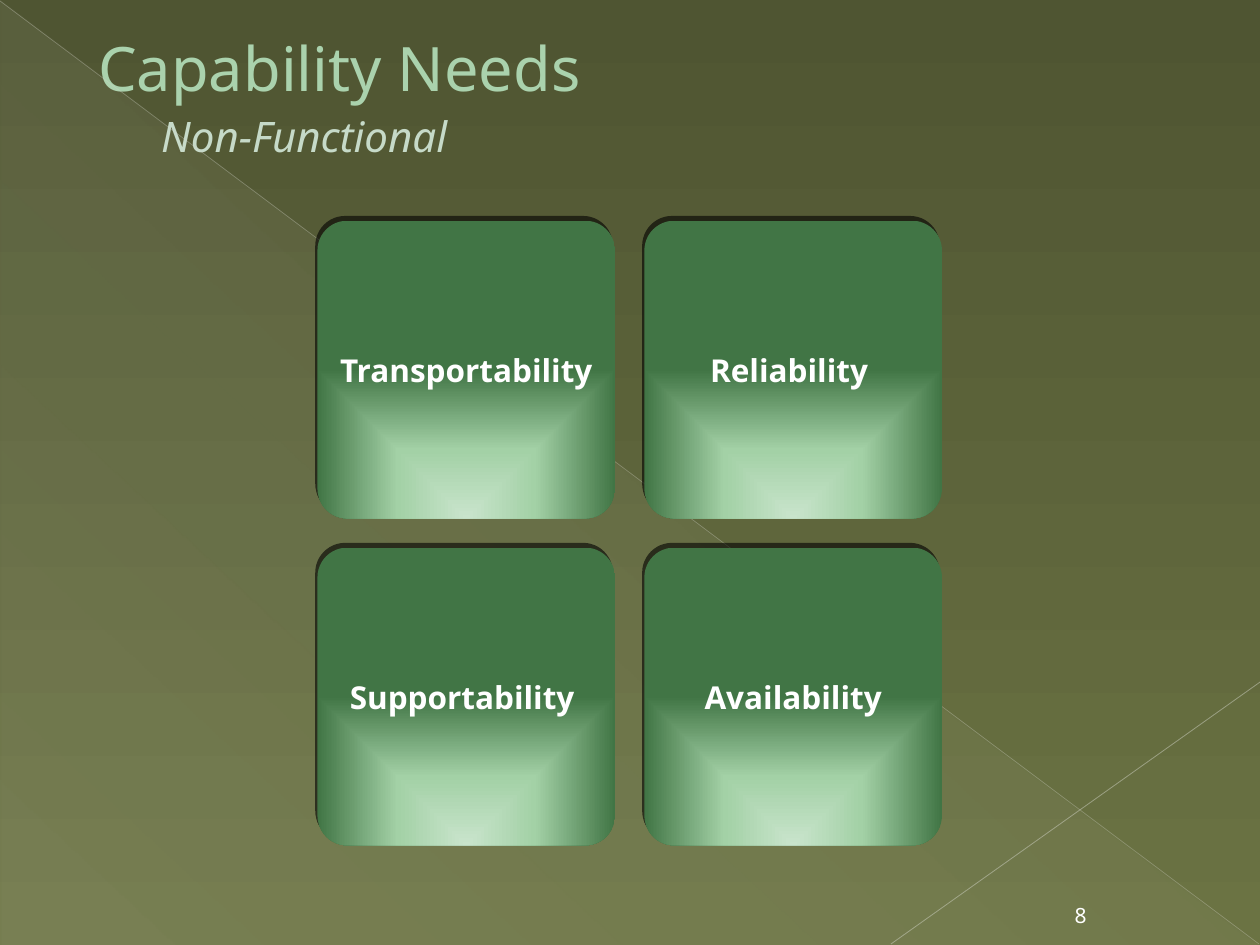
from lxml.etree import SubElement
from pptx import Presentation
from pptx.dml.color import RGBColor
from pptx.enum.shapes import MSO_CONNECTOR as CONN, MSO_SHAPE as SHAPE
from pptx.enum.text import MSO_ANCHOR as ANCHOR, MSO_AUTO_SIZE as AUTO, PP_ALIGN as ALIGN
from pptx.oxml.ns import qn
from pptx.util import Cm, Pt

TILE_STOPS = [(0, "C9E4CC", 100), (46, "A3D1A6", 100), (100, "417545", 100)]
TILES = [["Transportability", "Reliability "], ["Supportability ", "Availability"]]
TILE_LEFT, TILE_TOP, TILE_SIZE, TILE_PITCH = 6.4, 4.45, 6, 6.59


def rgb(value):
    return RGBColor.from_string(value)


def add_color(parent, color, opacity):
    clr = SubElement(parent, qn("a:srgbClr"), val=color)
    SubElement(clr, qn("a:alpha"), val=str(opacity * 1000))


def set_gradient(fill, props, stops, angle=None, focus=None):
    """Fill with (position, colour, opacity) stops, linear or towards a focus rectangle."""
    fill.solid()
    grad = props.makeelement(qn("a:gradFill"), rotWithShape="1")
    props.replace(props.find(qn("a:solidFill")), grad)
    gs_list = SubElement(grad, qn("a:gsLst"))
    for pos, color, opacity in stops:
        add_color(SubElement(gs_list, qn("a:gs"), pos=str(pos * 1000)), color, opacity)
    if focus:
        way = SubElement(grad, qn("a:path"), path="rect")
        sides = {side: str(value * 1000) for side, value in zip("ltrb", focus)}
        SubElement(way, qn("a:fillToRect"), **sides)
    else:
        SubElement(grad, qn("a:lin"), ang=str(angle * 60000), scaled="0")


class Deck:
    font = "Noto Sans"
    white = "FFFFFF"

    def __init__(self, prs):
        self.slide = prs.slides.add_slide(prs.slide_layouts[5])
        self.shapes = self.slide.shapes

    def background(self, stops, angle):
        fill = self.slide.background.fill
        fill.solid()
        props = self.slide.element.find(".//" + qn("p:bgPr"))
        set_gradient(fill, props, stops, angle)

    def run(self, p, text, size, color, bold=False, italic=False):
        r = p.add_run()
        r.text = text
        r.font.name, r.font.size = self.font, Pt(size)
        r.font.bold, r.font.italic = bold, italic
        r.font.color.rgb = rgb(color)

    def shape(self, kind, left, top, width, height, stops, **shade):
        sp = self.shapes.add_shape(kind, Cm(left), Cm(top), Cm(width), Cm(height))
        set_gradient(sp.fill, sp.element.spPr, stops, **shade)
        sp.line.fill.background()
        sp.shadow.inherit = False
        return sp

    def tile(self, left, top, text):
        sp = self.shape(SHAPE.ROUNDED_RECTANGLE, left, top, TILE_SIZE, TILE_SIZE,
                        TILE_STOPS, focus=(50, 155, 50, -55))
        sp.adjustments[0] = 0.1
        effects = sp.element.spPr.find(qn("a:effectLst"))
        shadow = SubElement(effects, qn("a:outerShdw"), blurRad="0", dist=str(Pt(3)),
                            dir=str(245 * 60000), algn="ctr", rotWithShape="0")
        add_color(shadow, "000000", 60)
        tf = sp.text_frame
        tf.margin_left = tf.margin_top = tf.margin_right = tf.margin_bottom = 0
        tf.vertical_anchor = ANCHOR.MIDDLE
        p = tf.paragraphs[0]
        p.alignment = ALIGN.CENTER
        self.run(p, text, 18, self.white, bold=True)

    def line(self, x1, y1, x2, y2, color, width, opacity):
        cn = self.shapes.add_connector(CONN.STRAIGHT, Cm(x1), Cm(y1), Cm(x2), Cm(y2))
        cn.line.width = Pt(width)
        cn.line.color.rgb = rgb(color)
        clr = cn.element.spPr.find(".//" + qn("a:srgbClr"))
        SubElement(clr, qn("a:alpha"), val=str(opacity * 1000))
        SubElement(cn.element.spPr, qn("a:effectLst"))

    def page_number(self, left, top, width, height, text):
        tf = self.shapes.add_textbox(Cm(left), Cm(top), Cm(width), Cm(height)).text_frame
        tf.word_wrap = False
        tf.vertical_anchor = ANCHOR.BOTTOM
        p = tf.paragraphs[0]
        p.alignment = ALIGN.CENTER
        self.run(p, text, 12, self.white)

    def title(self, left, top, width, height, text, subtitle):
        sp = self.shapes.title
        sp.left, sp.top, sp.width, sp.height = Cm(left), Cm(top), Cm(width), Cm(height)
        tf = sp.text_frame
        tf.margin_left = tf.margin_top = tf.margin_right = tf.margin_bottom = Cm(0.1)
        tf.vertical_anchor = ANCHOR.MIDDLE
        tf.word_wrap, tf.auto_size = True, AUTO.NONE
        p = tf.paragraphs[0]
        p.alignment = ALIGN.LEFT
        p_pr = p._p.get_or_add_pPr()
        p_pr.set("marL", str(Cm(1.25)))
        p_pr.set("indent", "0")
        self.run(p, text, 35, "AAD2AD")
        p.add_line_break()
        self.run(p, "\t", 28, "C6DAC8")
        self.run(p, subtitle, 24, "C6DAC8", italic=True)


def main():
    prs = Presentation()
    prs.slide_width, prs.slide_height = Cm(25.4), Cm(19.05)
    deck = Deck(prs)
    deck.background([(0, "4F5532", 100), (100, "6B7343", 100)], 90)
    deck.shape(SHAPE.RIGHT_TRIANGLE, 0.02, 0.02, 25.36, 19.01,
               [(0, "EAEBDE", 10), (30, "EAEBDE", 7), (100, "EAEBDE", 1)], angle=313)
    deck.line(0, 0.02, 25.38, 19.03, "D3D4C8", 0.39, 35)
    deck.line(25.4, 13.75, 17.96, 19.03, "D7D9CE", 0.47, 45)
    deck.page_number(21.39, 18.08, 0.79, 0.74, "8")
    for row, names in enumerate(TILES):
        for col, name in enumerate(names):
            deck.tile(TILE_LEFT + col * TILE_PITCH, TILE_TOP + row * TILE_PITCH, name)
    deck.title(0.63, 0, 22.86, 3.89, "Capability Needs", "Non-Functional")
    prs.save("out.pptx")


if __name__ == "__main__":
    main()
